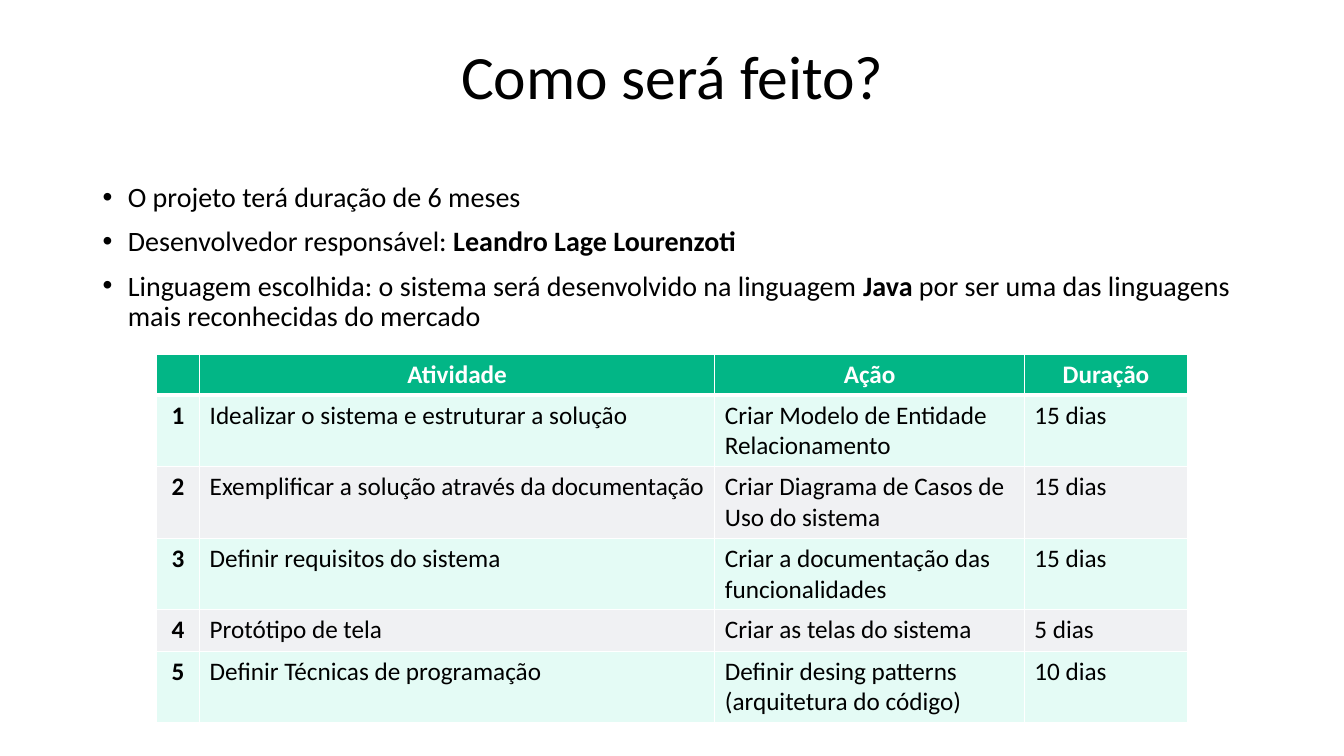
"""Build the project plan slide with its key points and activity table."""
from lxml import etree
from pptx import Presentation
from pptx.dml.color import RGBColor
from pptx.enum.text import MSO_ANCHOR, PP_ALIGN
from pptx.oxml.ns import qn
from pptx.util import Inches, Pt

CENTER, LEFT = PP_ALIGN.CENTER, PP_ALIGN.LEFT
TOP, MIDDLE = MSO_ANCHOR.TOP, MSO_ANCHOR.MIDDLE
BLACK = RGBColor(0x00, 0x00, 0x00)
WHITE = RGBColor(0xFF, 0xFF, 0xFF)
GREEN = RGBColor(0x02, 0xB6, 0x86)
MINT = RGBColor(0xE4, 0xFB, 0xF5)
GREY = RGBColor(0xF0, 0xF1, 0xF3)
FONT = "Calibri"

POINTS = [
    [("O projeto terá duração de 6 meses", False)],
    [("Desenvolvedor responsável: ", False), ("Leandro Lage Lourenzoti", True)],
    [
        ("Linguagem escolhida: o sistema será desenvolvido na linguagem ", False),
        ("Java", True),
        (" por ser uma das linguagens mais reconhecidas do mercado", False),
    ],
]
HEADINGS = ["", "Atividade", "Ação", "Duração"]
ACTIVITIES = [
    ("Idealizar o sistema e estruturar a solução",
     "Criar Modelo de Entidade Relacionamento", "15 dias"),
    ("Exemplificar a solução através da documentação",
     "Criar Diagrama de Casos de Uso do sistema", "15 dias"),
    ("Definir requisitos do sistema",
     "Criar a documentação das funcionalidades", "15 dias"),
    ("Protótipo de tela", "Criar as telas do sistema", "5 dias"),
    ("Definir Técnicas de programação",
     "Definir desing patterns (arquitetura do código)", "10 dias"),
]
COLUMN_WIDTHS = [0.43, 5.11, 3.07, 1.62]
ROW_HEIGHTS = [0.39, 0.71, 0.71, 0.71, 0.41, 0.71]


def apply_format(target, values):
    for name, value in values.items():
        setattr(target, name, value)


def add_run(paragraph, text, size, color=BLACK, bold=False):
    run = paragraph.add_run()
    run.text = text
    apply_format(run.font, {"name": FONT, "size": Pt(size), "bold": bold})
    run.font.color.rgb = color


def write_title(title, text):
    apply_format(title, {"left": Inches(0.92), "top": Inches(0.4),
                         "width": Inches(11.5), "height": Inches(1.45)})
    frame = title.text_frame
    apply_format(frame, {"vertical_anchor": MIDDLE, "word_wrap": True,
                         "margin_bottom": Inches(0.72)})
    heading = frame.paragraphs[0]
    apply_format(heading, {"alignment": CENTER, "line_spacing": 0.9})
    add_run(heading, text, 44)


def add_bullet(paragraph):
    properties = paragraph._p.get_or_add_pPr()
    properties.set("marL", str(Inches(0.25)))
    properties.set("indent", str(Inches(-0.25)))
    etree.SubElement(properties, qn("a:buFont")).set("typeface", "Arial")
    etree.SubElement(properties, qn("a:buChar")).set("char", "•")


def add_points(slide, points):
    body = slide.shapes.add_textbox(Inches(0.92), Inches(1.77), Inches(11.5), Inches(4.76))
    frame = body.text_frame
    apply_format(frame, {"word_wrap": True, "vertical_anchor": TOP})
    for index, point in enumerate(points):
        paragraph = frame.add_paragraph() if index else frame.paragraphs[0]
        apply_format(paragraph, {"line_spacing": 0.9, "space_before": Pt(10)})
        add_bullet(paragraph)
        for text, bold in point:
            add_run(paragraph, text, 20, bold=bold)


def add_borders(cell, widths):
    properties = cell._tc.get_or_add_tcPr()
    for side, width in widths.items():
        border = etree.SubElement(properties, qn(f"a:ln{side}"))
        border.set("w", str(Pt(width)))
        fill = etree.SubElement(border, qn("a:solidFill"))
        etree.SubElement(fill, qn("a:srgbClr")).set("val", str(WHITE))


def format_cell(cell, text, row, column):
    is_header = row == 0
    add_borders(cell, {"L": 1, "R": 1, "T": 3 if row == 1 else 1, "B": 3 if is_header else 1})
    cell.fill.solid()
    cell.fill.fore_color.rgb = GREEN if is_header else MINT if row % 2 else GREY
    paragraph = cell.text_frame.paragraphs[0]
    paragraph.alignment = CENTER if is_header or column == 0 else LEFT
    if text:
        add_run(paragraph, text, 18, WHITE if is_header else BLACK, is_header or column == 0)


def add_schedule(slide, headings, activities):
    rows = [headings] + [(str(number), *activity) for number, activity in enumerate(activities, 1)]
    schedule = slide.shapes.add_table(
        len(rows), len(headings), Inches(1.55), Inches(3.52),
        Inches(sum(COLUMN_WIDTHS)), Inches(sum(ROW_HEIGHTS))).table
    for column, width in zip(schedule.columns, COLUMN_WIDTHS):
        column.width = Inches(width)
    for row, height in zip(schedule.rows, ROW_HEIGHTS):
        row.height = Inches(height)
    for row, texts in enumerate(rows):
        for column, text in enumerate(texts):
            format_cell(schedule.cell(row, column), text, row, column)


def main():
    presentation = Presentation()
    apply_format(presentation, {"slide_width": Inches(13.33), "slide_height": Inches(7.5)})
    slide = presentation.slides.add_slide(presentation.slide_layouts[5])
    write_title(slide.shapes.title, "Como será feito?")
    add_points(slide, POINTS)
    add_schedule(slide, HEADINGS, ACTIVITIES)
    presentation.save("out.pptx")


if __name__ == "__main__":
    main()
